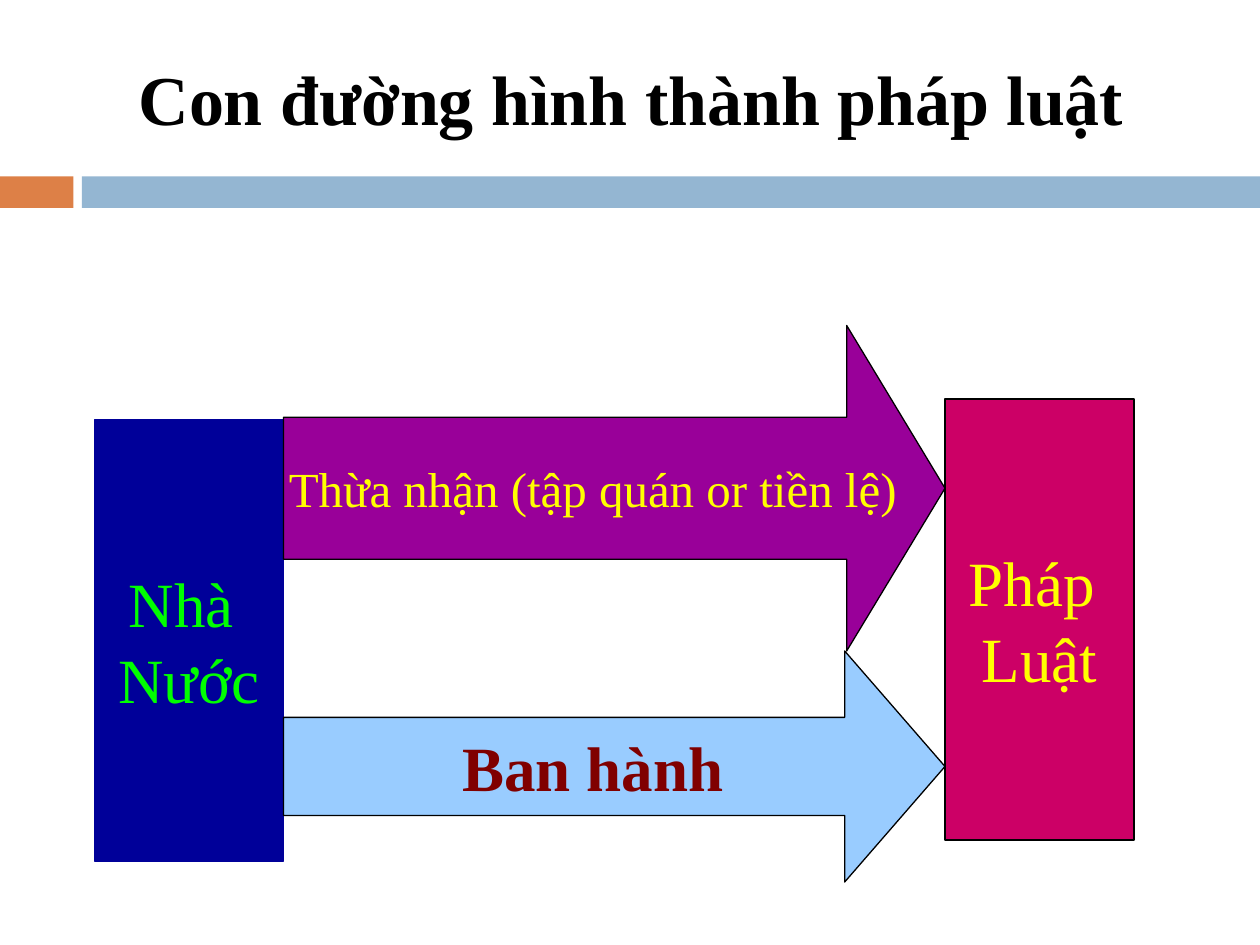
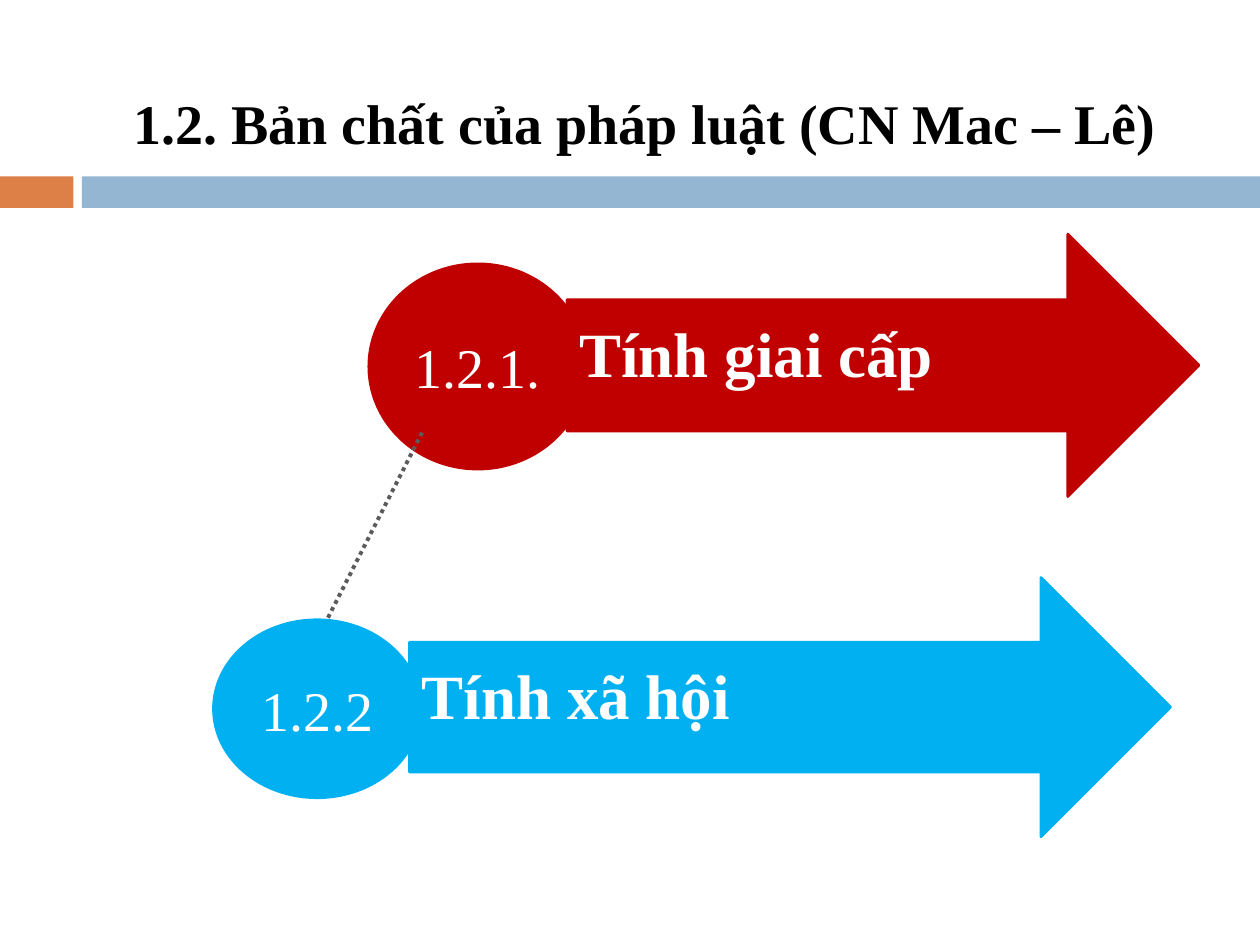
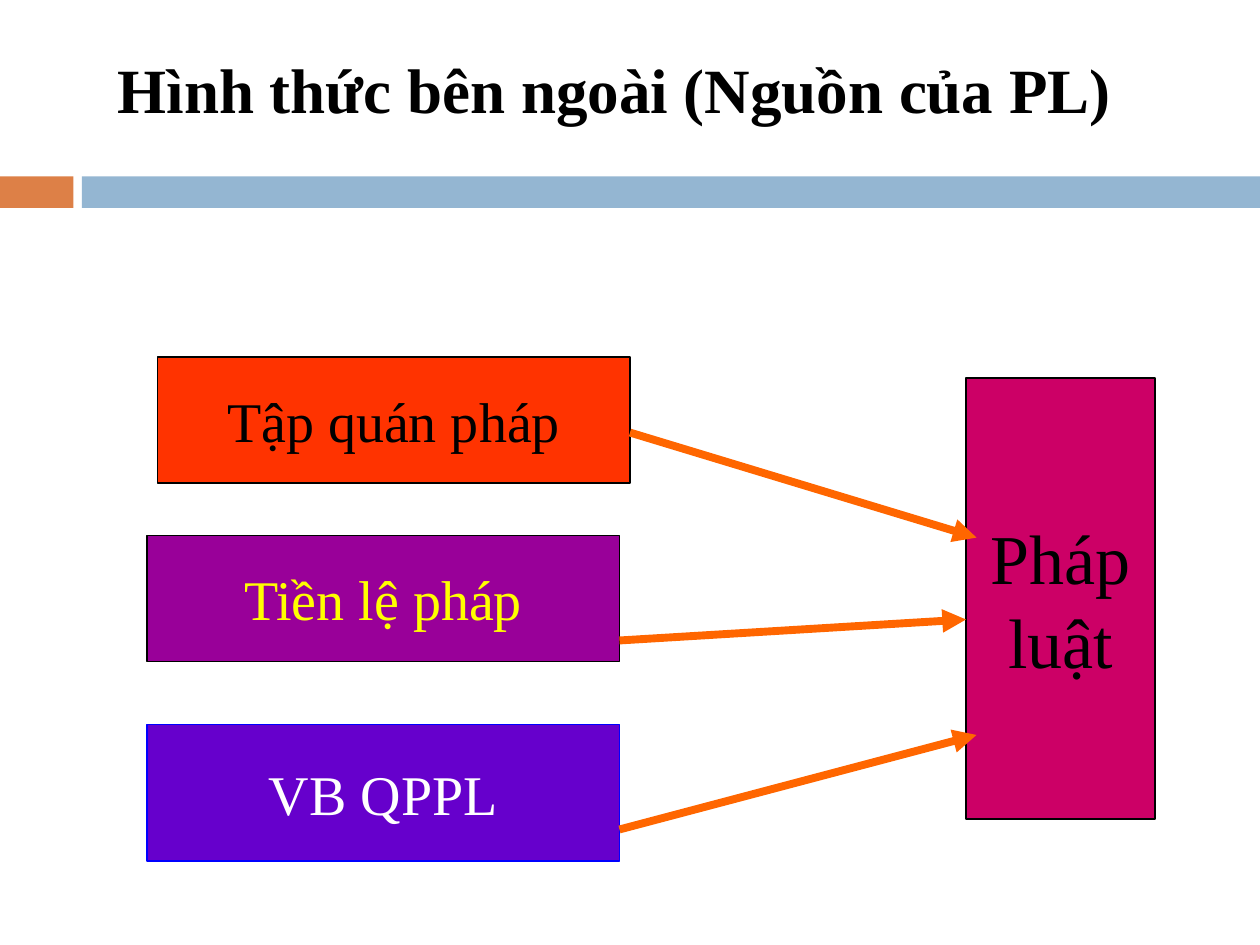
from lxml import etree
from pptx import Presentation
from pptx import util as u
from pptx.dml.color import RGBColor
from pptx.enum import dml, shapes, text
from pptx.oxml.ns import qn

INK = {
    "black": "000000", "white": "FFFFFF", "yellow": "FFFF00",
    "lime": "00FF00", "maroon": "800000", "navy": "000099",
    "pink": "CC0066", "purple": "990099", "sky": "99CCFF",
    "red": "C00000", "cyan": "00B0F0", "gray": "5B5B5B",
    "scarlet": "FF3300", "violet": "6600CC", "blue": "0000FF",
    "orange": "FF6600", "rust": "DD8047", "steel": "94B6D2",
}
HUE = {name: RGBColor.from_string(code) for name, code in INK.items()}
FACE = "Times New Roman"
RECT = shapes.MSO_SHAPE.RECTANGLE
OVAL = shapes.MSO_SHAPE.OVAL
ARROW = shapes.MSO_SHAPE.RIGHT_ARROW
LEFT, MID = text.PP_ALIGN.LEFT, text.PP_ALIGN.CENTER

deck = Presentation()
deck.slide_width, deck.slide_height = u.Inches(10), u.Inches(7.5)
CELL = deck.slide_width / 120  # the grid has 120 columns and 90 rows


def write(shape, at, words, size, ink, bold=False, align=MID):
    """Place a shape on the grid and fill it with text in one style."""
    shape.left, shape.top, shape.width, shape.height = (int(n * CELL) for n in at)
    frame = shape.text_frame
    frame.text = words
    frame.auto_size = text.MSO_AUTO_SIZE.NONE
    frame.word_wrap = align == LEFT
    frame.vertical_anchor = text.MSO_ANCHOR.MIDDLE
    for para in frame.paragraphs:
        para.alignment = align
        font = para.font
        font.name, font.size, font.bold = FACE, u.Pt(size), bold
        font.color.rgb = HUE[ink]


def box(slide, kind, at, fill, edge=None, words="", size=36, ink="black", **style):
    """Add a filled shape, outlined if an edge colour is given."""
    shape = slide.shapes.add_shape(kind, 0, 0, 0, 0)
    shape.shadow.inherit = False
    shape.fill.solid()
    shape.fill.fore_color.rgb = HUE[fill]
    if edge:
        shape.line.color.rgb = HUE[edge]
        shape.line.width = u.Pt(0.75)
    else:
        shape.line.fill.background()
    write(shape, at, words, size, ink, **style)
    return shape


# Slides and titles
layout = deck.slide_layouts[5]
titles = [
    ("Con đường hình thành pháp luật", (12, 3.6, 101, 11.4), 40),
    ("1.2. Bản chất của pháp luật (CN Mac – Lê)", (11.5, 6, 102.5, 11.3), 32),
    ("Hình thức bên ngoài (Nguồn của PL)", (10, 2.8, 106, 11.2), 36),
]
pages = []
for words, at, size in titles:
    page = deck.slides.add_slide(layout)
    write(page.shapes.title, at, words, size, "black", True, LEFT)
    pages.append(page)
paths, nature, forms = pages

# Bands shared through the layout
for at, fill in [((0, 16.8, 7, 3), "rust"), ((7.8, 16.8, 112.2, 3), "steel")]:
    band = box(paths, RECT, at, fill)
    layout.element.cSld.spTree.append(band.element)

# Slide 1: from state to law
box(paths, RECT, (9, 40, 18, 42), "navy", "navy", "Nhà \nNước", 36, "lime")
box(paths, RECT, (90, 38, 18, 42), "pink", "black", "Pháp \nLuật", 36, "yellow")
ways = [
    (31, 31, "purple", "Thừa nhận (tập quán or tiền lệ)", 28, "yellow", False, (0.436, 0.302)),
    (62, 22, "sky", "Ban hành", 36, "maroon", True, (0.425, 0.434)),
]
for top, high, fill, words, size, ink, bold, bends in ways:
    way = box(paths, ARROW, (27, top, 63, high), fill, "black", words, size, ink, bold=bold)
    way.adjustments[0], way.adjustments[1] = bends

# Slide 2: two sides of the nature of law
sides = [
    ("red", "1.2.1.", (35, 25, 21, 19.8), "Tính giai cấp", (54, 22.3, 60.2, 25)),
    ("cyan", "1.2.2", (20.2, 58.9, 20, 17.2), "Tính xã hội", (39, 55, 72.5, 24.7)),
]
for fill, mark, spot, words, at in sides:
    box(nature, OVAL, spot, fill, None, mark, 32, "white")
    side = box(nature, ARROW, at, fill, fill, words, 36, "white", bold=True, align=LEFT)
    side.line.width = u.Pt(1.5)
    side.text_frame.margin_bottom = u.Inches(0.25)

# Slide 3: sources of law
sources = [
    ((15, 34, 45, 12), "scarlet", "black", "Tập quán pháp", "black"),
    ((14, 51, 45, 12), "purple", "black", "Tiền lệ pháp", "yellow"),
    ((14, 69, 45, 13), "violet", "blue", "VB QPPL", "white"),
]
for at, fill, edge, words, ink in sources:
    box(forms, RECT, at, fill, edge, words, 32, ink)
box(forms, RECT, (92, 36, 18, 42), "pink", "black", "Pháp\nluật", 40)

# Connectors: dotted between the circles, arrows from the sources
wires = [
    (nature, (40.2, 41.2, 31.2, 58.9), "gray", 2.25),
    (forms, (60, 41.2, 93, 51.2), "orange", 4.5),
    (forms, (59, 61, 92, 59), "orange", 4.5),
    (forms, (59, 79, 93, 70), "orange", 4.5),
]
for page, ends, ink, width in wires:
    wire = page.shapes.add_connector(
        shapes.MSO_CONNECTOR.STRAIGHT, *(int(n * CELL) for n in ends))
    wire.line.color.rgb = HUE[ink]
    wire.line.width = u.Pt(width)
    props = wire.element.spPr
    if page is nature:
        wire.line.dash_style = dml.MSO_LINE.ROUND_DOT
    else:
        etree.SubElement(props.find(qn("a:ln")), qn("a:tailEnd"), type="triangle")
    etree.SubElement(props, qn("a:effectLst"))

deck.save("out.pptx")
